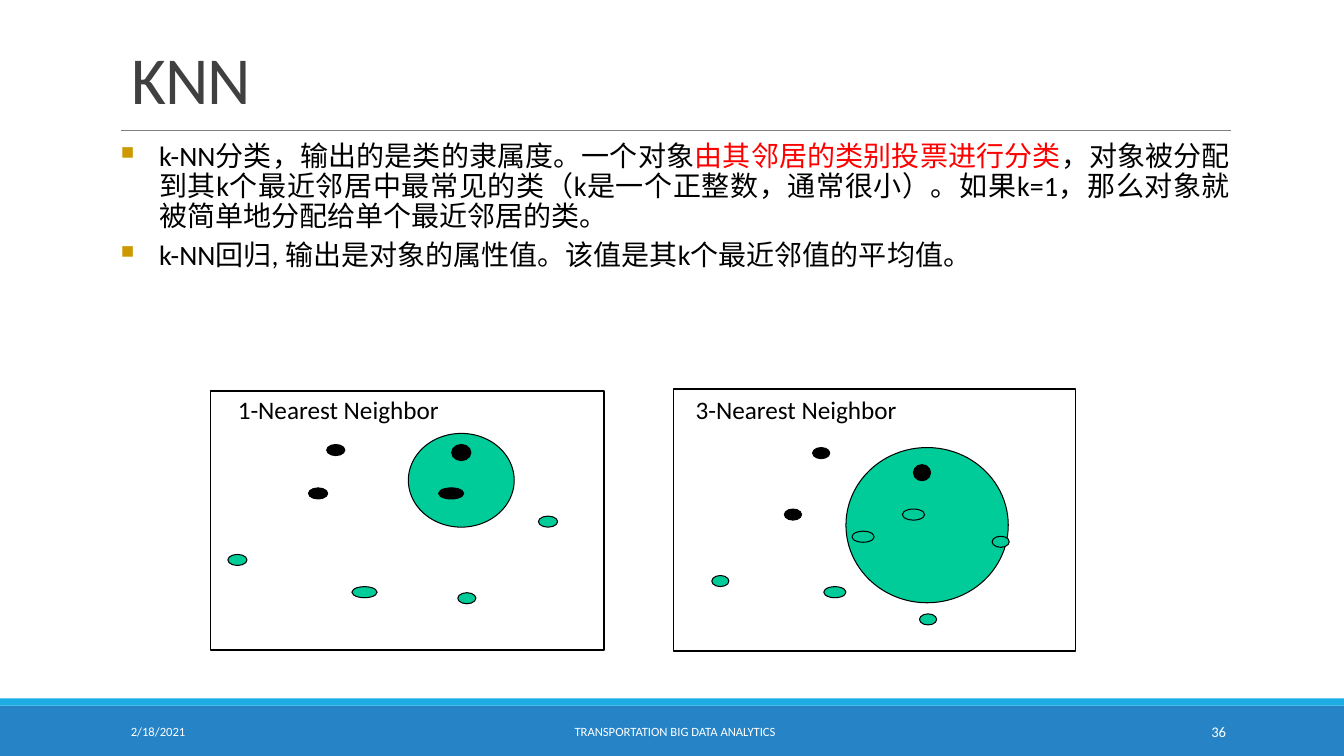
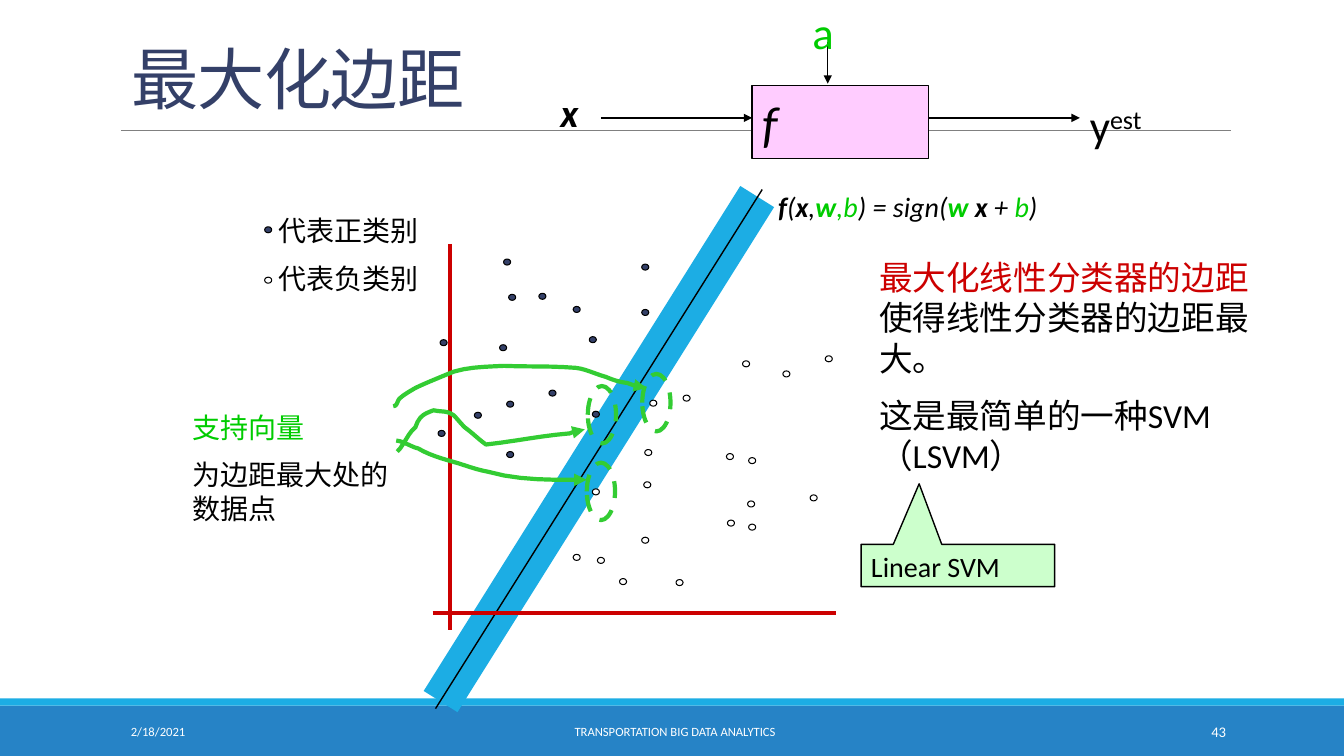
"""Build two slides on nearest neighbours and on maximum-margin classifiers."""
from lxml import etree
from pptx import Presentation
from pptx.dml.color import RGBColor
from pptx.enum.dml import MSO_LINE
from pptx.enum.shapes import MSO_CONNECTOR, MSO_SHAPE
from pptx.enum.text import MSO_ANCHOR, MSO_AUTO_SIZE, PP_ALIGN
from pptx.oxml.ns import qn
from pptx.util import Cm, Pt

OVAL, RECTANGLE = MSO_SHAPE.OVAL, MSO_SHAPE.RECTANGLE
CALLOUT, STRAIGHT = MSO_SHAPE.RECTANGULAR_CALLOUT, MSO_CONNECTOR.STRAIGHT
LEFT, CENTER, RIGHT, JUSTIFY = PP_ALIGN.LEFT, PP_ALIGN.CENTER, PP_ALIGN.RIGHT, PP_ALIGN.JUSTIFY
TOP, MIDDLE, BOTTOM = MSO_ANCHOR.TOP, MSO_ANCHOR.MIDDLE, MSO_ANCHOR.BOTTOM
NO_FIT, DASH = MSO_AUTO_SIZE.NONE, MSO_LINE.DASH

FONT = "Calibri"
BLACK = RGBColor(0x00, 0x00, 0x00)
WHITE = RGBColor(0xFF, 0xFF, 0xFF)
GRAY = RGBColor(0x80, 0x80, 0x80)
DARK_GRAY = RGBColor(0x40, 0x40, 0x40)
NAVY = RGBColor(0x34, 0x40, 0x68)
BLUE = RGBColor(0x26, 0x83, 0xC6)
SKY = RGBColor(0x1C, 0xAD, 0xE4)
RED = RGBColor(0xFF, 0x00, 0x00)
DARK_RED = RGBColor(0xCC, 0x00, 0x00)
GOLD = RGBColor(0xCC, 0x99, 0x00)
TEAL = RGBColor(0x00, 0xCC, 0x99)
GREEN = RGBColor(0x00, 0xCC, 0x00)
ARROW_GREEN = RGBColor(0x33, 0xCC, 0x33)
PINK = RGBColor(0xFF, 0xCC, 0xFF)
MINT = RGBColor(0xCC, 0xFF, 0xCC)

BANDS = [((0, 7, 13.33, 0.5), BLUE), ((0, 6.93, 13.33, 0.07), SKY)]
TITLE_RULE = ((1.2, 1.29), (12.21, 1.29))
TITLE_PLACE = (1.2, 0.13, 11, 1.09)
DATE = "2/18/2021"
FOOTER = "TRANSPORTATION BIG DATA ANALYTICS"

KNN_BULLETS = [
    [("k-NN分类，输出的是类的隶属度。一个对象", BLACK),
     ("由其邻居的类别投票进行分类", RED),
     ("，对象被分配到其k个最近邻居中最常见的类（k是一个正整数，通常很小）。"
      "如果k=1，那么对象就被简单地分配给单个最近邻居的类。", BLACK)],
    [("k-NN回归, 输出是对象的属性值。该值是其k个最近邻值的平均值。", BLACK)],
]
KNN_PANELS = [
    {"label": "1-Nearest Neighbor", "label_at": (2.26, 3.86, 2.61, 0.33),
     "frame": (2.09, 3.88, 3.9, 2.57), "circle": (4.05, 4.3, 1.05, 0.93),
     "black": [(3.06, 4.84, 0.19, 0.11), (3.24, 4.41, 0.18, 0.11),
               (4.48, 4.41, 0.19, 0.16), (4.35, 4.84, 0.25, 0.11)],
     "teal": [(3.49, 5.82, 0.25, 0.11), (5.34, 5.12, 0.19, 0.11),
              (2.26, 5.5, 0.19, 0.11), (4.54, 5.88, 0.18, 0.11)]},
    {"label": "3-Nearest Neighbor", "label_at": (6.8, 3.86, 2.35, 0.33),
     "frame": (6.68, 3.86, 3.99, 2.6), "circle": (8.39, 4.44, 1.61, 1.54),
     "black": [(7.78, 5.05, 0.17, 0.11), (8.06, 4.44, 0.17, 0.11),
               (9.06, 4.61, 0.17, 0.16)],
     "teal": [(8.95, 5.05, 0.22, 0.11), (9.84, 5.32, 0.17, 0.11),
              (7.06, 5.71, 0.17, 0.11), (9.12, 6.09, 0.17, 0.11),
              (8.17, 5.82, 0.22, 0.11), (8.45, 5.27, 0.22, 0.11)]},
]

DOT_WIDTH, DOT_HEIGHT = 0.07, 0.06
POSITIVE_DOTS = [
    (2.66, 2.28), (4.38, 4.3), (6.4, 3.1), (5.38, 2.94), (5.91, 4.11), (4.99, 3.45),
    (5.08, 2.95), (5.06, 4.01), (5.88, 3.37), (5.06, 4.51), (6.4, 2.65), (5.03, 2.6),
    (5.48, 3.9), (4.74, 4.12), (5.72, 3.07), (4.4, 3.4),
]
NEGATIVE_DOTS = [
    (2.66, 2.78), (5.72, 5.53), (6.48, 4.0), (7.24, 4.53), (5.91, 4.88), (8.22, 3.56),
    (7.45, 5.0), (6.81, 3.95), (8.07, 4.94), (6.18, 5.77), (7.46, 4.57), (6.43, 4.49),
    (7.8, 3.71), (7.4, 3.61), (7.25, 5.19), (6.74, 5.78), (6.4, 5.36), (6.42, 4.81),
    (5.96, 5.56), (7.46, 5.23),
]
MARGIN_LINES = [
    ((4.37, 6.96), (7.51, 1.95), SKY, 28.5), ((4.32, 7.03), (7.56, 1.88), BLACK, 1),
    ((4.46, 2.42), (4.46, 6.25), DARK_RED, 3), ((4.29, 6.08), (8.29, 6.08), DARK_RED, 3),
]
FLOW_ARROWS = [((5.96, 1.17), (7.46, 1.17)), ((8.21, 0.42), (8.21, 0.83)),
               ((9.21, 1.17), (10.71, 1.17))]
MARGIN_TEXTS = [
    ((5.46, 0.83, 0.67, 0.57), 28, [[("x", BLACK, "bi")]]),
    ((7.96, 0, 0.42, 0.63), 32, [[("a", GREEN)]]),
    ((10.71, 0.92, 0.92, 0.63), 32, [[("y", BLACK), ("est", BLACK, "^")]]),
    ((2.66, 2.07, 2.08, 0.93), 20, [[("代表正类别", BLACK)], [("代表负类别", BLACK)]]),
    ((7.62, 1.83, 3.5, 0.43), 20,
     [[("f", BLACK, "bi"), ("(", BLACK, "i"), ("x", BLACK, "bi"), (",", BLACK, "i"),
       ("w", GREEN, "bi"), (",b", GREEN, "i"), (") = sign(", BLACK, "i"),
       ("w", GREEN, "bi"), (" x ", BLACK, "bi"), ("+ ", BLACK, "i"),
       ("b", GREEN, "i"), (")", BLACK, "i")]]),
    ((8.62, 2.5, 4.15, 2.32), 24,
     [[("最大化线性分类器的边距", DARK_RED), ("使得线性分类器的边距最大。", BLACK)],
      [("这是最简单的一种SVM（LSVM）", BLACK)]]),
    ((1.81, 4.02, 2.32, 1.28), 20,
     [[("支持向量", GREEN)], [("为边距最大处的数据点", BLACK)]]),
]
SUPPORT_CURVES = [
    [(3.94, 4.48), (4, 4.43), (4.05, 4.29), (4.12, 4.24), (4.16, 4.11), (4.23, 4.1),
     (4.3, 4.07), (4.39, 4.09), (4.43, 4.07), (4.5, 4.12), (4.54, 4.16), (4.57, 4.2),
     (4.61, 4.24), (4.68, 4.29), (4.75, 4.36), (4.82, 4.41), (5.1, 4.38), (5.38, 4.32),
     (5.65, 4.3), (5.7, 4.28), (5.76, 4.26), (5.8, 4.26)],
    [(3.9, 4.03), (3.95, 4.03), (3.93, 3.97), (3.98, 3.94), (4, 3.92), (4.1, 3.86),
     (4.12, 3.85), (4.2, 3.81), (4.3, 3.77), (4.42, 3.72), (4.58, 3.64), (4.81, 3.64),
     (5, 3.63), (5.24, 3.64), (5.47, 3.63), (5.71, 3.65), (5.81, 3.66), (5.9, 3.71),
     (6.01, 3.74), (6.08, 3.77), (6.14, 3.79), (6.22, 3.8), (6.28, 3.82), (6.35, 3.85),
     (6.41, 3.85)],
    [(3.93, 4.37), (4.01, 4.38), (4.07, 4.43), (4.15, 4.45), (4.25, 4.51), (4.38, 4.55),
     (4.49, 4.58), (4.6, 4.61), (4.72, 4.66), (4.84, 4.68), (5.15, 4.77), (5.5, 4.76),
     (5.82, 4.76)],
]
CURVE_STEPS = 6
SUPPORT_RINGS = [(6.37, 3.71), (5.83, 3.83), (5.82, 4.59)]
RING_SIZE = (0.28, 0.57)


def lengths(values):
    """Turn slide units of 2.54 cm into lengths."""
    return [Cm(value * 2.54) for value in values]


def write_text(shape, paragraphs, size, align=LEFT, anchor=TOP, before=0.5, bullets=False):
    """Fill a shape with paragraphs, each a list of (text, colour, style) runs."""
    frame = shape.text_frame
    frame.word_wrap, frame.auto_size, frame.vertical_anchor = True, NO_FIT, anchor
    for index, runs in enumerate(paragraphs):
        para = frame.add_paragraph() if index else frame.paragraphs[0]
        para.alignment = align
        if index:
            para.space_before = Pt(size * before)
        if bullets:
            add_bullet(para)
        for text, color, *style in runs:
            marks = "".join(style)
            span = para.add_run()
            span.text = text
            span.font.name, span.font.size = FONT, Pt(size)
            span.font.bold, span.font.italic = "b" in marks, "i" in marks
            span.font.color.rgb = color
            if "^" in marks:
                span._r.get_or_add_rPr().set("baseline", "30000")
    return frame


def add_bullet(para):
    """Give a paragraph a small gold square and a hanging indent."""
    properties = para._p.get_or_add_pPr()
    indent = Cm(0.96)
    properties.set("marL", str(indent))
    properties.set("indent", str(-indent))
    color = etree.SubElement(properties, qn("a:buClr"))
    etree.SubElement(color, qn("a:srgbClr"), val=str(GOLD))
    etree.SubElement(properties, qn("a:buSzPct"), val="65000")
    etree.SubElement(properties, qn("a:buChar"), char="■")
    para.line_spacing = 0.9
    para.space_after = Pt(2)


def add_text(page, place, paragraphs, size, **options):
    box = page.shapes.add_textbox(*lengths(place))
    return write_text(box, paragraphs, size, **options)


def style_shape(shape, fill=None, line=BLACK, width=0.75):
    """Set fill and outline, where None means no paint."""
    shape.shadow.inherit = False
    if fill is None:
        shape.fill.background()
    else:
        shape.fill.solid()
        shape.fill.fore_color.rgb = fill
    if line is None:
        shape.line.fill.background()
    else:
        shape.line.color.rgb = line
        shape.line.width = Pt(width)
    return shape


def add_shape(page, kind, place, **style):
    return style_shape(page.shapes.add_shape(kind, *lengths(place)), **style)


def add_arrowhead(shape):
    etree.SubElement(shape.line._get_or_add_ln(), qn("a:tailEnd"), type="triangle")


def add_line(page, start, end, color=BLACK, width=1):
    line = page.shapes.add_connector(STRAIGHT, *lengths(start + end))
    line.line.color.rgb, line.line.width = color, Pt(width)
    etree.SubElement(line.element.spPr, qn("a:effectLst"))
    return line


def curve_points(knots):
    """Sample a chain of cubic curves that share their end knots."""
    points = [knots[0]]
    for first in range(0, len(knots) - 1, 3):
        section = knots[first:first + 4]
        for step in range(1, CURVE_STEPS + 1):
            t = step / CURVE_STEPS
            weights = ((1 - t) ** 3, 3 * t * (1 - t) ** 2, 3 * t * t * (1 - t), t ** 3)
            points.append(tuple(sum(w * knot[axis] for w, knot in zip(weights, section))
                                for axis in (0, 1)))
    return points


def add_curved_arrow(page, knots):
    start, *rest = [lengths(point) for point in curve_points(knots)]
    builder = page.shapes.build_freeform(*start)
    builder.add_line_segments(rest, close=False)
    arrow = style_shape(builder.convert_to_shape(), line=ARROW_GREEN, width=3)
    add_arrowhead(arrow)


def decorate_layout(page):
    """Draw the bands and the title rule and hand them to the layout."""
    parts = [add_shape(page, RECTANGLE, place, fill=color, line=None)
             for place, color in BANDS]
    parts.append(add_line(page, *TITLE_RULE, color=GRAY, width=0.5))
    for part in parts:
        page.slide_layout.shapes.element.append(part.element)


def add_page(deck, layout, title, color, number):
    page = deck.slides.add_slide(layout)
    heading = page.shapes.title
    heading.left, heading.top, heading.width, heading.height = lengths(TITLE_PLACE)
    para = write_text(heading, [[(title, color)]], 48, anchor=BOTTOM).paragraphs[0]
    para.line_spacing = 0.85
    para.runs[0]._r.get_or_add_rPr().set("spc", "-50")
    for left, width, text, size, align in [(1.2, 2.7, DATE, 9, LEFT),
                                           (4.06, 5.27, FOOTER, 9, CENTER),
                                           (10.83, 1.43, number, 10.5, RIGHT)]:
        add_text(page, (left, 7.06, width, 0.4), [[(text, WHITE)]], size,
                 align=align, anchor=MIDDLE)
    return page


def fill_knn_page(page):
    frame = add_text(page, (1.2, 1.36, 11, 1.6), KNN_BULLETS, 20, align=JUSTIFY,
                     before=0.2, bullets=True)
    frame.margin_left = frame.margin_right = 0
    for panel in KNN_PANELS:
        add_shape(page, OVAL, panel["circle"], fill=TEAL)
        for name, color in (("black", BLACK), ("teal", TEAL)):
            for place in panel[name]:
                add_shape(page, OVAL, place, fill=color)
        add_shape(page, RECTANGLE, panel["frame"], width=1)
        add_text(page, panel["label_at"], [[(panel["label"], BLACK)]], 18)


def fill_margin_page(page):
    for line in MARGIN_LINES:
        add_line(page, *line)
    function = add_shape(page, RECTANGLE, (7.46, 0.85, 1.75, 0.72), fill=PINK, width=1)
    write_text(function, [[("f", BLACK, "i")]], 36, anchor=MIDDLE)
    for start, end in FLOW_ARROWS:
        add_arrowhead(add_line(page, start, end))
    for place, size, paragraphs in MARGIN_TEXTS:
        add_text(page, place, paragraphs, size)
    for centers, color in ((POSITIVE_DOTS, NAVY), (NEGATIVE_DOTS, WHITE)):
        for x, y in centers:
            place = (x - DOT_WIDTH / 2, y - DOT_HEIGHT / 2, DOT_WIDTH, DOT_HEIGHT)
            add_shape(page, OVAL, place, fill=color)
    callout = add_shape(page, CALLOUT, (8.54, 5.4, 1.92, 0.42), fill=MINT, width=1)
    callout.adjustments[0], callout.adjustments[1] = -0.2, -1.93
    write_text(callout, [[("Linear SVM", BLACK)]], 20)
    for knots in SUPPORT_CURVES:
        add_curved_arrow(page, knots)
    for corner in SUPPORT_RINGS:
        ring = add_shape(page, OVAL, corner + RING_SIZE, line=ARROW_GREEN, width=3)
        ring.line.dash_style = DASH


def main():
    deck = Presentation()
    deck.slide_width, deck.slide_height = lengths((13.33, 7.5))
    layout = deck.slide_layouts[5]
    knn_page = add_page(deck, layout, "KNN", DARK_GRAY, "36")
    decorate_layout(knn_page)
    fill_knn_page(knn_page)
    fill_margin_page(add_page(deck, layout, "最大化边距", NAVY, "43"))
    deck.save("out.pptx")


if __name__ == "__main__":
    main()
